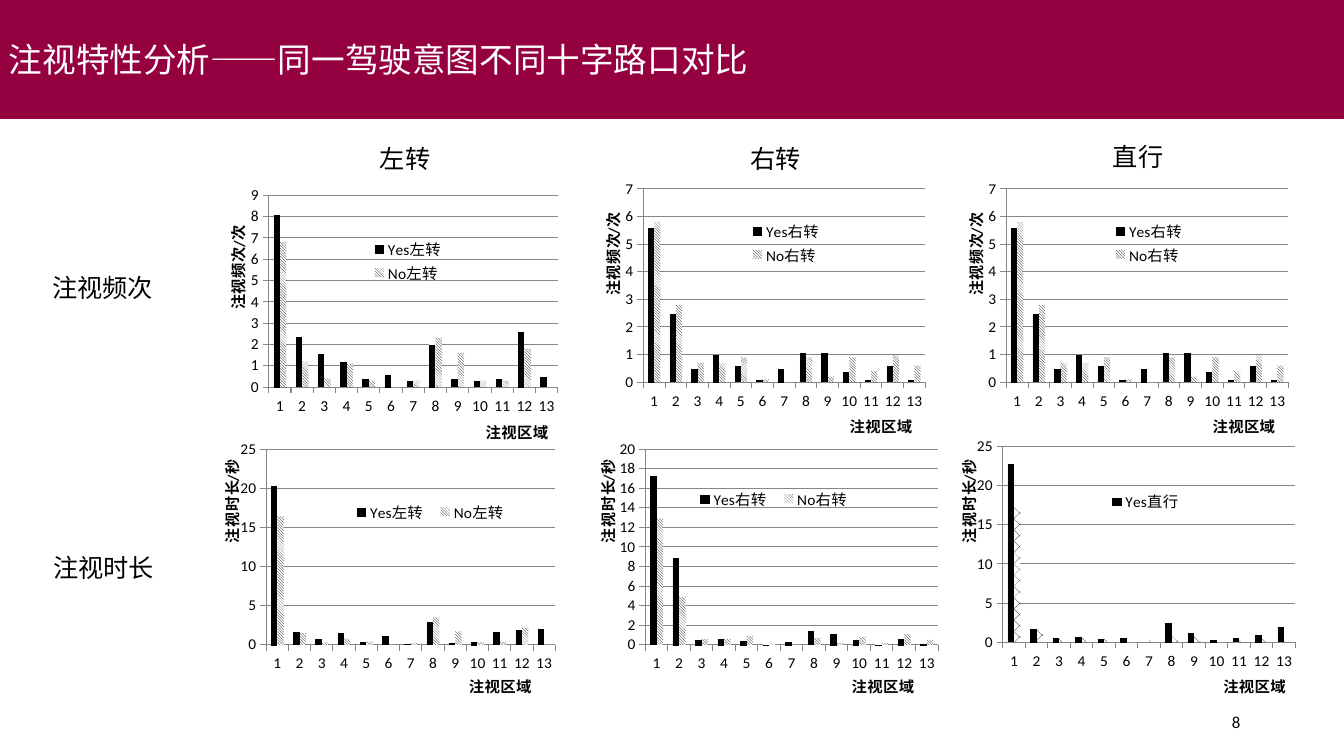
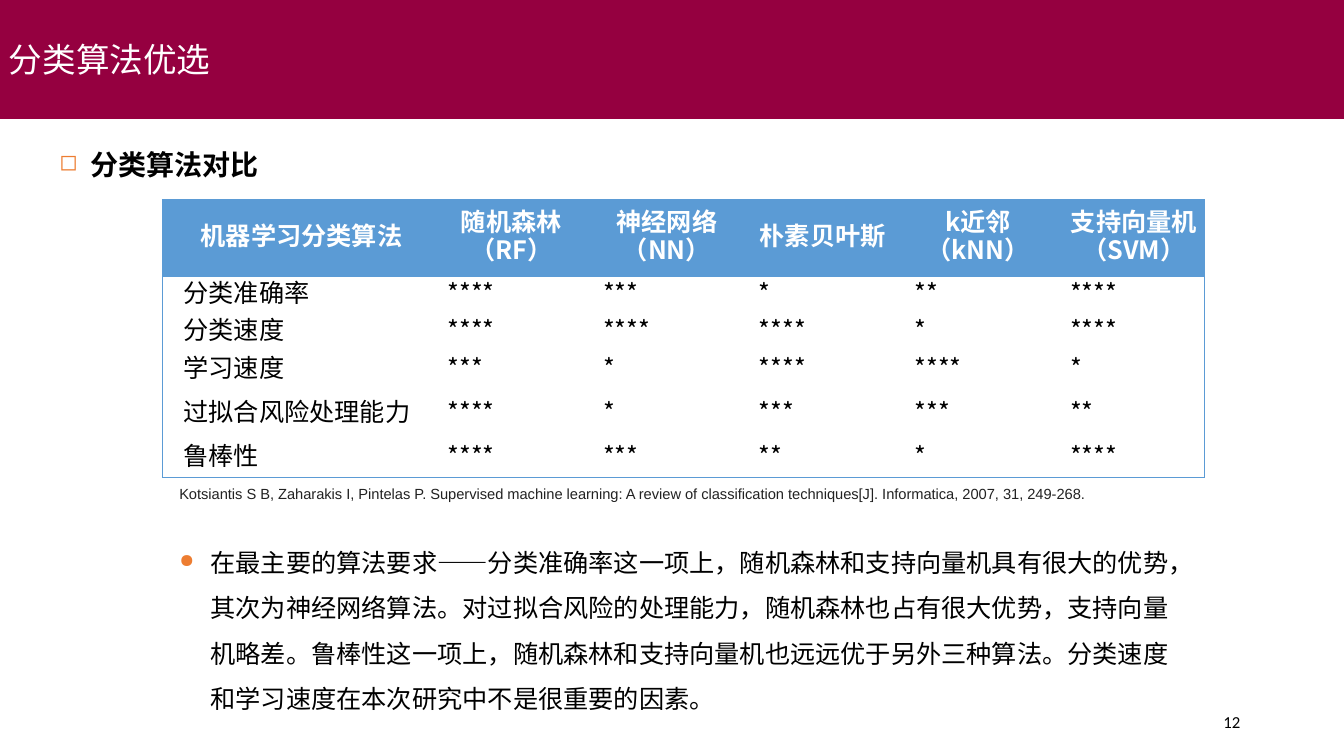
from lxml import etree
from pptx import Presentation
from pptx.chart.data import CategoryChartData
from pptx.dml.color import RGBColor
from pptx.enum.chart import XL_CHART_TYPE, XL_LEGEND_POSITION, XL_TICK_MARK
from pptx.enum.dml import MSO_PATTERN
from pptx.enum.shapes import MSO_SHAPE
from pptx.enum.text import MSO_ANCHOR, PP_ALIGN
from pptx.oxml.ns import qn
from pptx.util import Inches, Pt

COLUMN = XL_CHART_TYPE.COLUMN_CLUSTERED
LEGEND_RIGHT = XL_LEGEND_POSITION.RIGHT
TICK_OUT, TICK_NONE = XL_TICK_MARK.OUTSIDE, XL_TICK_MARK.NONE
SOLID = MSO_PATTERN.DARK_HORIZONTAL
HATCH = MSO_PATTERN.DARK_DOWNWARD_DIAGONAL
DOTS = MSO_PATTERN.PERCENT_25
RECT = MSO_SHAPE.RECTANGLE
TOP, MIDDLE = MSO_ANCHOR.TOP, MSO_ANCHOR.MIDDLE
LEFT, CENTER, RIGHT = PP_ALIGN.LEFT, PP_ALIGN.CENTER, PP_ALIGN.RIGHT

COLORS = {
    "band": "950040", "white": "FFFFFF", "black": "000000", "cite": "222222",
    "blue": "5B9BD5", "bullet": "ED7D31", "grid": "868686",
}
CJK = "Noto Sans CJK SC"
LATIN = "Calibri"

FREQUENCY, DURATION = "注视频次/次", "注视时长/秒"
TURN_RIGHT_FREQUENCY = {
    "title": FREQUENCY, "axis": (7, 1),
    "plot": (0.15, 0.06, 0.79, 0.74), "legend": (0.43, 0.17, 0.24, 0.19),
    "cat": (0.72, 0.91), "val": (0.02, 0.14),
    "series": [
        ("Yes右转", SOLID, [5.6, 2.5, 0.5, 1, 0.6, 0.1, 0.5, 1.1, 1.1, 0.4, 0.1, 0.6, 0.1]),
        ("No右转", HATCH, [5.8, 2.8, 0.7, 0.7, 0.9, 0.1, 0, 0.9, 0.2, 0.9, 0.4, 1, 0.6])],
}
CHARTS = [
    {"at": (2.17, 1.78), "title": FREQUENCY, "axis": (9, 1),
     "plot": (0.14, 0.06, 0.81, 0.72), "legend": (0.41, 0.21, 0.24, 0.19),
     "cat": (0.74, 0.89), "val": (0.01, 0.16),
     "series": [
         ("Yes左转", SOLID, [8.1, 2.4, 1.6, 1.2, 0.4, 0.6, 0.3, 2, 0.4, 0.3, 0.4, 2.6, 0.5]),
         ("No左转", HATCH, [6.8, 1.2, 0.4, 1.1, 0.3, 0, 0.3, 2.3, 1.6, 0.3, 0.3, 1.8, 0])]},
    {"at": (5.85, 1.72), **TURN_RIGHT_FREQUENCY},
    {"at": (9.45, 1.72), **TURN_RIGHT_FREQUENCY},
    {"at": (2.11, 4.3), "title": DURATION, "axis": (25, 5),
     "plot": (0.15, 0.06, 0.81, 0.75), "legend": (0.37, 0.25, 0.48, 0.1),
     "cat": (0.71, 0.91), "val": (0.01, 0.09),
     "series": [
         ("Yes左转", SOLID, [20.4, 1.8, 0.8, 1.6, 0.4, 1.2, 0.2, 3, 0.3, 0.5, 1.8, 2, 2.1]),
         ("No左转", HATCH, [16.4, 1.5, 0.3, 0.8, 0.4, 0, 0.2, 3.5, 1.7, 0.3, 0.4, 2.2, 0])]},
    {"at": (5.87, 4.3), "title": DURATION, "axis": (20, 2),
     "plot": (0.15, 0.06, 0.82, 0.75), "legend": (0.27, 0.2, 0.48, 0.1),
     "cat": (0.72, 0.91), "val": (0, 0.09),
     "series": [
         ("Yes右转", SOLID, [17.3, 8.9, 0.6, 0.7, 0.5, 0.1, 0.4, 1.5, 1.2, 0.6, 0.1, 0.7, 0.2]),
         ("No右转", HATCH, [12.9, 4.9, 0.6, 0.6, 0.9, 0.1, 0, 0.7, 0.2, 0.8, 0.2, 1.1, 0.5])]},
    {"at": (9.45, 4.3), "title": DURATION, "axis": (25, 5), "hide": 1,
     "plot": (0.14, 0.05, 0.82, 0.75), "legend": (0.42, 0.21, 0.24, 0.1),
     "cat": (0.75, 0.91), "val": (0, 0.09),
     "series": [
         ("Yes直行", SOLID, [22.9, 1.8, 0.7, 0.8, 0.5, 0.7, 0.1, 2.6, 1.3, 0.4, 0.6, 1, 2.1]),
         ("No直行", DOTS, [17.2, 1.6, 0.4, 0.6, 0.4, 0, 0.3, 0.8, 0.7, 0, 0.2, 0.5, 0.1])]},
]

HEADINGS = [
    ("左转", (3.67, 1.22, 0.88, 0.56), 1.5),
    ("右转", (7.34, 1.22, 0.88, 0.5), 1.5),
    ("直行", (10.94, 1.2, 1.01, 0.56), 1.5),
    ("注视频次", (0.42, 2.65, 1.85, 0.4), 1),
    ("注视时长", (0.43, 5.43, 1.56, 0.4), 1),
]

TABLE_WIDTH, LABEL_WIDTH = 10.34, 2.62
COL_WIDTHS = [LABEL_WIDTH] + [(TABLE_WIDTH - LABEL_WIDTH) / 5] * 5
ROW_HEIGHTS = [0.77, 0.37, 0.37, 0.37, 0.51, 0.37]
TABLE_ROWS = [
    ["机器学习分类算法", "随机森林\n（RF）", "神经网络\n（NN）", "朴素贝叶斯",
     "k近邻\n（kNN）", "支持向量机\n（SVM）"],
    ["分类准确率", "****", "***", "*", "**", "****"],
    ["分类速度", "****", "****", "****", "*", "****"],
    ["学习速度", "***", "*", "****", "****", "*"],
    ["过拟合风险处理能力", "****", "*", "***", "***", "**"],
    ["鲁棒性", "****", "***", "**", "*", "****"],
]
CITATION = ("Kotsiantis S B, Zaharakis I, Pintelas P. Supervised machine learning: "
            "A review of classification techniques[J]. Informatica, 2007, 31, 249-268.")
CONCLUSION = ("在最主要的算法要求——分类准确率这一项上，随机森林和支持向量机具有很大的优势，"
              "其次为神经网络算法。对过拟合风险的处理能力，随机森林也占有很大优势，"
              "支持向量机略差。鲁棒性这一项上，随机森林和支持向量机也远远优于另外三种算法。"
              "分类速度和学习速度在本次研究中不是很重要的因素。")


def rgb(name):
    return RGBColor.from_string(COLORS[name])


def add_xml(parent, tag, **attrs):
    return etree.SubElement(parent, qn(tag), attrs)


def set_font(font, size, color="black", name=LATIN, bold=False):
    for key, value in {"size": Pt(size), "name": name, "bold": bold}.items():
        setattr(font, key, value)
    font.color.rgb = rgb(color)


def write(tf, text, size=18, color="black", font=CJK, bold=False,
          align=LEFT, anchor=TOP, spacing=1):
    for key, value in {"word_wrap": True, "vertical_anchor": anchor}.items():
        setattr(tf, key, value)
    for i, line in enumerate(text.split("\n")):
        p = tf.paragraphs[0] if i == 0 else tf.add_paragraph()
        p.alignment, p.line_spacing = align, spacing
        r = p.add_run()
        r.text = line
        set_font(r.font, size, color, font, bold)
        add_xml(r.font._element, "a:ea", typeface=font)


def add_text(s, text, box, **style):
    sp = s.shapes.add_textbox(*map(Inches, box))
    write(sp.text_frame, text, **style)
    return sp


def add_bullet(s, text, box, char, percent, **style):
    p = add_text(s, text, box, **style).text_frame.paragraphs[0]
    pPr = p._p.get_or_add_pPr()
    pPr.set("marL", str(Inches(0.31)))
    pPr.set("indent", str(Inches(-0.31)))
    add_xml(add_xml(pPr, "a:buClr"), "a:srgbClr", val=COLORS["bullet"])
    add_xml(pPr, "a:buSzPct", val=str(percent * 1000))
    add_xml(pPr, "a:buChar", char=char)


def add_frame(prs, title, number):
    s = prs.slides.add_slide(prs.slide_layouts[6])
    band = s.shapes.add_shape(RECT, *map(Inches, (-0.01, 0, 13.35, 1.18)))
    band.shadow.inherit = False
    band.fill.solid()
    band.fill.fore_color.rgb = rgb("band")
    band.line.fill.background()
    write(band.text_frame, title, size=24, color="white", anchor=MIDDLE)
    add_text(s, str(number), (9.4, 6.96, 3, 0.4), size=12, font=LATIN,
             align=RIGHT, anchor=MIDDLE)
    return s


def set_layout(parent, index, box, inner=False):
    for old in parent.findall(qn("c:layout")):
        parent.remove(old)
    layout = etree.Element(qn("c:layout"))
    manual = add_xml(layout, "c:manualLayout")
    if inner:
        add_xml(manual, "c:layoutTarget", val="inner")
    for tag in ("c:xMode", "c:yMode"):
        add_xml(manual, tag, val="edge")
    for key, value in zip("xywh", box):
        add_xml(manual, f"c:{key}", val=str(value))
    parent.insert(index, layout)


def format_axis(axis, title, position, rotation):
    axis.major_tick_mark, axis.minor_tick_mark = TICK_OUT, TICK_NONE
    axis.format.line.color.rgb = rgb("grid")
    axis.format.line.width = Pt(0.75)
    tf = axis.axis_title.text_frame
    r = tf.paragraphs[0].add_run()
    r.text = title
    set_font(r.font, 11, bold=True)
    tf._txBody.find(qn("a:bodyPr")).set("rot", str(rotation))
    set_layout(axis.axis_title._element, 1, position)


def add_gaze_chart(s, gaze):
    data = CategoryChartData()
    data.categories = [str(n) for n in range(1, 14)]
    for name, _, values in gaze["series"]:
        data.add_series(name, values)
    box = (*gaze["at"], 3.54, 2.66)
    chart = s.shapes.add_chart(COLUMN, *map(Inches, box), data).chart
    chart.has_title = False
    set_font(chart.font, 11)
    plot = chart.plots[0]
    plot.gap_width, plot.overlap, plot.vary_by_categories = 150, 0, False
    for series, (_, pattern, _) in zip(plot.series, gaze["series"]):
        fill = series.format.fill
        fill.patterned()
        fill.pattern = pattern
        fill.fore_color.rgb, fill.back_color.rgb = rgb("black"), rgb("white")
    format_axis(chart.category_axis, "注视区域", gaze["cat"], 0)
    axis = chart.value_axis
    format_axis(axis, gaze["title"], gaze["val"], -5400000)
    axis.minimum_scale = 0
    axis.maximum_scale, axis.major_unit = gaze["axis"]
    line = axis.major_gridlines.format.line
    line.color.rgb, line.width = rgb("grid"), Pt(0.75)
    set_layout(chart._chartSpace.chart.plotArea, 0, gaze["plot"], inner=True)
    chart.has_legend = True
    legend = chart.legend
    legend.position, legend.include_in_layout = LEGEND_RIGHT, False
    set_font(legend.font, 11)
    set_layout(legend._element, 1, gaze["legend"])
    if "hide" in gaze:
        entry = etree.Element(qn("c:legendEntry"))
        add_xml(entry, "c:idx", val=str(gaze["hide"]))
        add_xml(entry, "c:delete", val="1")
        legend._element.insert(1, entry)


def set_borders(cell, edges):
    tcPr = cell._tc.get_or_add_tcPr()
    for i, (side, shown) in enumerate(edges.items()):
        ln = etree.Element(qn(f"a:ln{side}"), w=str(Pt(0.5)))
        if shown:
            add_xml(add_xml(ln, "a:solidFill"), "a:srgbClr", val=COLORS["blue"])
        else:
            add_xml(ln, "a:noFill")
        tcPr.insert(i, ln)


def add_comparison_table(s):
    rows, cols = len(ROW_HEIGHTS), len(COL_WIDTHS)
    box = (1.61, 1.98, TABLE_WIDTH, sum(ROW_HEIGHTS))
    table = s.shapes.add_table(rows, cols, *map(Inches, box)).table
    table.horz_banding = False
    for col, width in zip(table.columns, COL_WIDTHS):
        col.width = Inches(width)
    for i, (row, height) in enumerate(zip(table.rows, ROW_HEIGHTS)):
        row.height = Inches(height)
        head = i == 0
        for j, cell in enumerate(row.cells):
            for side, inset in {"left": 0.07, "right": 0.07, "top": 0, "bottom": 0}.items():
                setattr(cell, f"margin_{side}", Inches(inset))
            cell.fill.solid()
            cell.fill.fore_color.rgb = rgb("blue" if head else "white")
            write(cell.text_frame, TABLE_ROWS[i][j], bold=head, spacing=Pt(20),
                  color="white" if head else "black", align=CENTER if head else LEFT)
            cell.vertical_anchor = MIDDLE
            for p in cell.text_frame.paragraphs:
                p._p.get_or_add_pPr().set("indent", str(Inches(0.14)))
            set_borders(cell, {"L": j == 0, "R": j == cols - 1, "T": head, "B": i == rows - 1})


def main():
    prs = Presentation()
    prs.slide_width, prs.slide_height = Inches(13.33), Inches(7.5)

    s = add_frame(prs, "注视特性分析——同一驾驶意图不同十字路口对比", 8)
    for text, box, spacing in HEADINGS:
        add_text(s, text, box, spacing=spacing)
    for chart in CHARTS:
        add_gaze_chart(s, chart)

    s = add_frame(prs, "分类算法优选", 12)
    add_comparison_table(s)
    add_text(s, CITATION, (1.68, 4.76, 9.73, 0.47), size=10.5, color="cite", font="Arial")
    add_bullet(s, "分类算法对比", (0.49, 1.41, 2.72, 0.44), "◻", 80, size=20, bold=True)
    add_bullet(s, CONCLUSION, (1.68, 5.23, 10.08, 1.92), "●", 75, spacing=1.5)

    prs.save("out.pptx")


if __name__ == "__main__":
    main()
